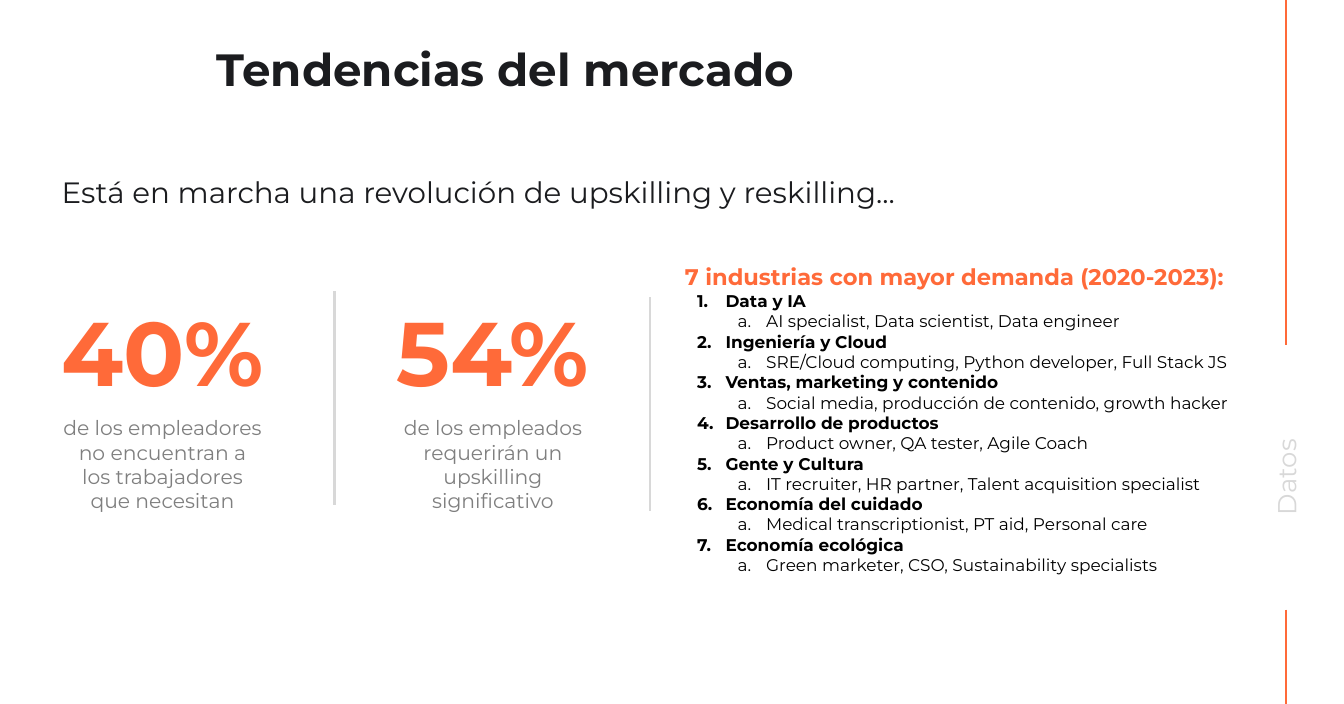
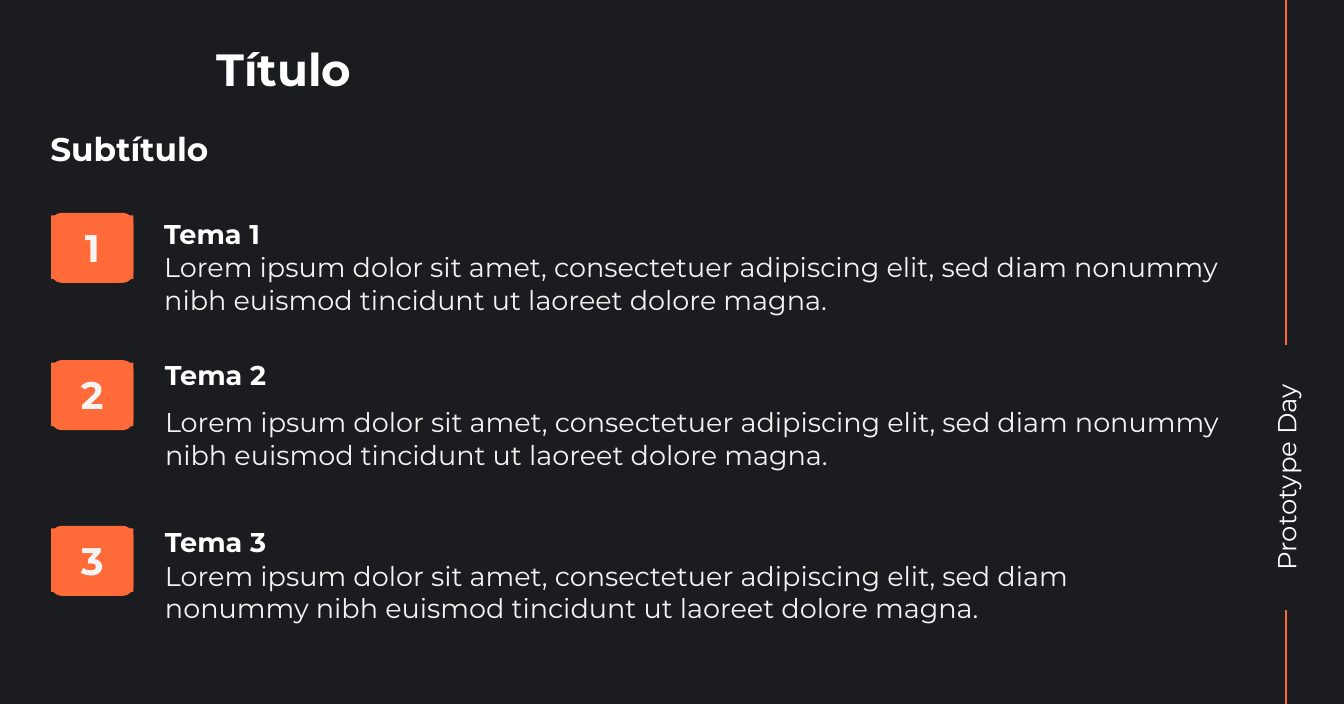
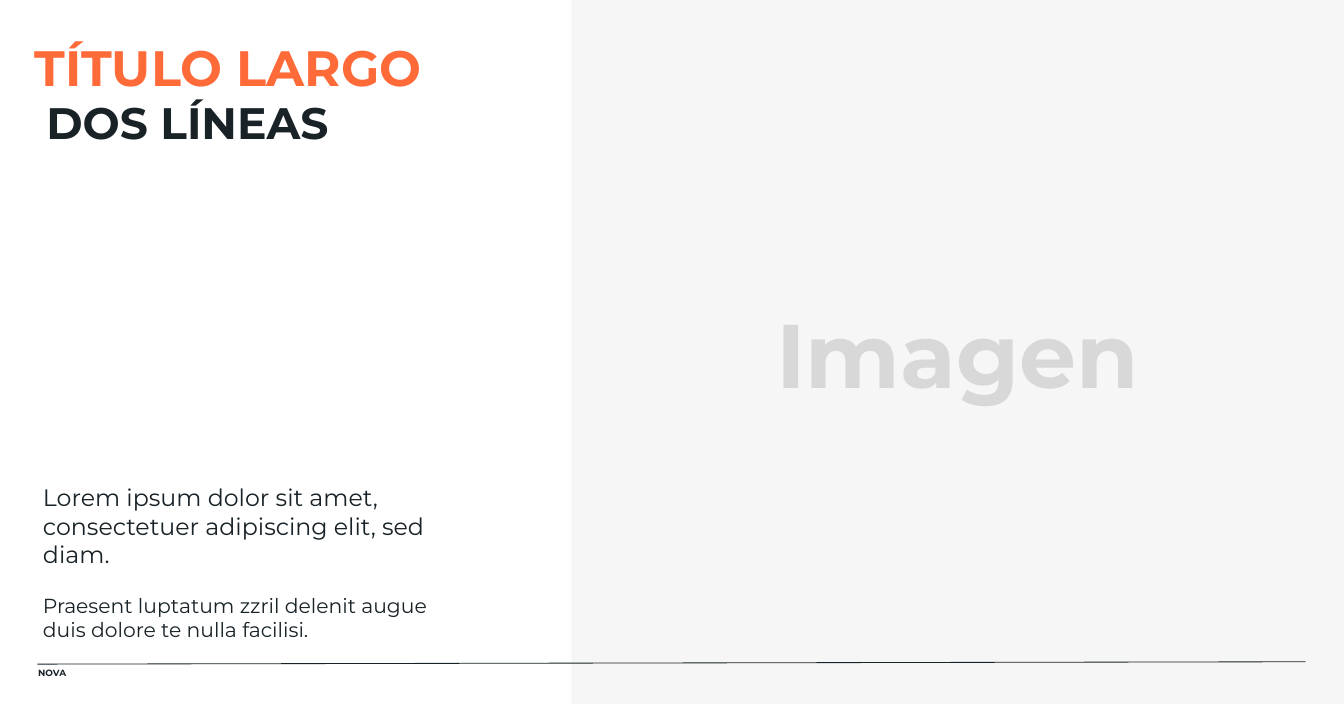
from pptx import Presentation
from pptx.dml.color import RGBColor
from pptx.enum.shapes import MSO_CONNECTOR as Conn, MSO_SHAPE as Form
from pptx.enum.text import MSO_ANCHOR as Anchor, PP_ALIGN as Align
from pptx.oxml.ns import qn
from pptx.util import Pt
from lxml.etree import SubElement


class Theme:
    font = "Montserrat"
    # Colours
    orange, ink, navy = "FF6A39", "1B1C1F", "182227"
    white, black = "FFFFFF", "000000"
    gray, rule, panel = "7F7F7F", "D8D8D8", "F6F6F6"
    pale, mist = "F3F3F3", "F4F4F5"
    # Type sizes
    title, long, second, sub = 40, 44, 39, 29
    figure, lead, side, badge = 80, 26, 23, 34
    topic, intro, body = 24, 21, 18
    head, item, foot = 20, 15, 8


def write(shape, paras, pad=11.5, align=Align.LEFT, anchor=Anchor.TOP):
    """Fill a shape with one run per paragraph: text, size, colour, bold."""
    frame = shape.text_frame
    frame.word_wrap = True
    frame.vertical_anchor = anchor
    frame.margin_left = frame.margin_right = Pt(pad)
    frame.margin_top = frame.margin_bottom = Pt(pad)
    for num, (text, size, color, bold) in enumerate(paras):
        para = frame.add_paragraph() if num else frame.paragraphs[0]
        para.alignment = align
        run = para.add_run()
        run.text = text
        run.font.name = Theme.font
        run.font.size = Pt(size)
        run.font.bold = bold
        run.font.color.rgb = RGBColor.from_string(color)
    return frame.paragraphs


def draw(slide, ends, color, width):
    """Draw a straight line between two points."""
    line = slide.shapes.add_connector(Conn.STRAIGHT, *map(Pt, ends))
    line.line.color.rgb = RGBColor.from_string(color)
    line.line.width = Pt(width)
    SubElement(line._element.spPr, qn("a:effectLst"))


deck = Presentation()
wide, high = 1190.88, 623.52
deck.slide_width, deck.slide_height = Pt(wide), Pt(high)
slides = []
for color in (Theme.white, Theme.ink, Theme.white):
    slide = deck.slides.add_slide(deck.slide_layouts[6])
    slide.background.fill.solid()
    slide.background.fill.fore_color.rgb = RGBColor.from_string(color)
    slides.append(slide)
market, topics, cover = slides
slabs = []

# Title and side rail of the first two slides
rail = 1139.8
for slide, title, tint, side, tone in (
    (market, "Tendencias del mercado", Theme.ink, "Datos", Theme.rule),
    (topics, "Título", Theme.white, "Prototype Day", Theme.white),
):
    box = slide.shapes.add_textbox(Pt(180.7), Pt(32.4), Pt(725.8), Pt(56.2))
    write(box, [(title, Theme.title, tint, True)], anchor=Anchor.MIDDLE)
    for top, end in ((0, 305.3), (540, high)):
        draw(slide, (rail, top, rail, end), Theme.orange, 1.5)
    box = slide.shapes.add_textbox(Pt(1021.7), Pt(396.7), Pt(236.9), Pt(51.8))
    box.rotation = 270
    write(box, [(side, Theme.side, tone, False)], align=Align.CENTER)

# Market: lead sentence
box = market.shapes.add_textbox(Pt(43.2), Pt(142.6), Pt(1018), Pt(136))
write(box, [("Está en marcha una revolución de upskilling y reskilling...",
             Theme.lead, Theme.ink, False)])

# Market: key figures, each closed by a rule
for mid, figure, note, x, top in (
    (144, "40%", "de los empleadores no encuentran a los trabajadores "
     "que necesitan", 296.6, 257.8),
    (436.8, "54%", "de los empleados requerirán un upskilling significativo",
     576, 263.5),
):
    box = market.shapes.add_textbox(
        Pt(mid - 126.4), Pt(203.8), Pt(252.8), Pt(213.1))
    write(box, [(figure, Theme.figure, Theme.orange, True)],
          align=Align.CENTER, anchor=Anchor.MIDDLE)
    box = market.shapes.add_textbox(
        Pt(mid - 100.4), Pt(356.4), Pt(200.8), Pt(150.5))
    write(box, [(note, Theme.body, Theme.gray, False)], align=Align.CENTER)
    draw(market, (x, top, x, top + 189.4), Theme.rule, 2.25)

# Market: numbered industries with their roles
paras = [("7 industrias con mayor demanda (2020-2023):",
          Theme.head, Theme.orange, True)]
for field, roles in (
    ("Data y IA", "AI specialist, Data scientist, Data engineer"),
    ("Ingeniería y Cloud",
     "SRE/Cloud computing, Python developer, Full Stack JS"),
    ("Ventas, marketing y contenido",
     "Social media, producción de contenido, growth hacker"),
    ("Desarrollo de productos", "Product owner, QA tester, Agile Coach"),
    ("Gente y Cultura",
     "IT recruiter, HR partner, Talent acquisition specialist"),
    ("Economía del cuidado", "Medical transcriptionist, PT aid, Personal care"),
    ("Economía ecológica", "Green marketer, CSO, Sustainability specialists"),
):
    paras += [(field, Theme.item, Theme.black, True),
              (roles, Theme.item, Theme.black, False)]
box = market.shapes.add_textbox(Pt(599.8), Pt(226.1), Pt(501.8), Pt(313.9))
for num, para in enumerate(write(box, paras, pad=7.2)[1:]):
    para.level = num % 2
    props = para._p.get_or_add_pPr()
    props.set("marL", str(Pt(36 * (para.level + 1))))
    props.set("indent", str(Pt(-25.2)))
    tint = SubElement(props, qn("a:buClr"))
    SubElement(tint, qn("a:srgbClr"), val=Theme.black)
    SubElement(props, qn("a:buFont"), typeface=Theme.font)
    SubElement(props, qn("a:buAutoNum"),
               type=("arabicPeriod", "alphaLcPeriod")[para.level])

# Topics: subtitle
box = topics.shapes.add_textbox(Pt(33.1), Pt(103.7), Pt(1123.9), Pt(56.2))
write(box, [("Subtítulo", Theme.sub, Theme.white, True)], anchor=Anchor.MIDDLE)

# Topics: numbered badge, heading and text
lorem = ("Lorem ipsum dolor sit amet, consectetuer adipiscing elit, sed diam "
         "nonummy nibh euismod tincidunt ut laoreet dolore magna.")
for num, (top, x, head, text, width) in enumerate((
    (188.6, 143.3, 206.6, 250.6, 970.6),
    (319, 144, 331.9, 388.1, 941.8),
    (465.8, 144, 479.9, 523.8, 910.1),
), 1):
    back = topics.shapes.add_shape(
        Form.ROUNDED_RECTANGLE, Pt(45.4), Pt(top), Pt(72.7), Pt(61.9))
    back.adjustments[0] = 0.15
    badge = topics.shapes.add_shape(
        Form.RECTANGLE, Pt(45.4), Pt(top + 2.2), Pt(72.7), Pt(56.2))
    write(badge, [(str(num), Theme.badge, Theme.mist, True)], pad=2.2,
          align=Align.CENTER, anchor=Anchor.MIDDLE)
    slabs += [(back, Theme.orange), (badge, Theme.orange)]
    for mid, size, para in (
        (head, (440, 36), (f"Tema {num}", Theme.topic, Theme.white, True)),
        (text, (width, 56.2), (lorem, Theme.topic, Theme.pale, False)),
    ):
        box = topics.shapes.add_textbox(
            Pt(x), Pt(mid - size[1] / 2), *map(Pt, size))
        write(box, [para], pad=2.2, anchor=Anchor.MIDDLE)

# Cover: image panel
left = 506.2
panel = cover.shapes.add_shape(
    Form.RECTANGLE, Pt(left), 0, Pt(wide - left), Pt(high))
write(panel, [("Imagen", Theme.figure, Theme.rule, True)],
      align=Align.CENTER, anchor=Anchor.MIDDLE)
slabs.append((panel, Theme.panel))

# Cover: two-line title
box = cover.shapes.add_textbox(Pt(26.6), Pt(34.7), Pt(470), Pt(100))
first, second = write(box, [
    ("TÍTULO LARGO", Theme.long, Theme.orange, True),
    ("DOS LÍNEAS", Theme.second, Theme.navy, True)], pad=4.3)
first.line_spacing = second.line_spacing = 0.9
second.space_before = Pt(3)
second._p.get_or_add_pPr().set("marL", str(Pt(10.2)))

# Cover: text
box = cover.shapes.add_textbox(Pt(26.6), Pt(416.2), Pt(376.6), Pt(166.3))
intro, more = write(box, [
    ("Lorem ipsum dolor sit amet, consectetuer adipiscing elit, sed diam.",
     Theme.intro, Theme.navy, False),
    ("Praesent luptatum zzril delenit augue duis dolore te nulla facilisi.",
     Theme.body, Theme.navy, False)])
more.space_before = Pt(22)

# Cover: footer
draw(cover, (33.1, 588.2, 1157, 586.1), Theme.navy, 0.75)
box = cover.shapes.add_textbox(Pt(33.8), Pt(591.1), Pt(55.4), Pt(11.5))
write(box, [("NOVA", Theme.foot, Theme.navy, True)], pad=0)

# Flat fill for every shape
for slab, color in slabs:
    slab.shadow.inherit = False
    slab.fill.solid()
    slab.fill.fore_color.rgb = RGBColor.from_string(color)
    slab.line.fill.background()

deck.save("out.pptx")
